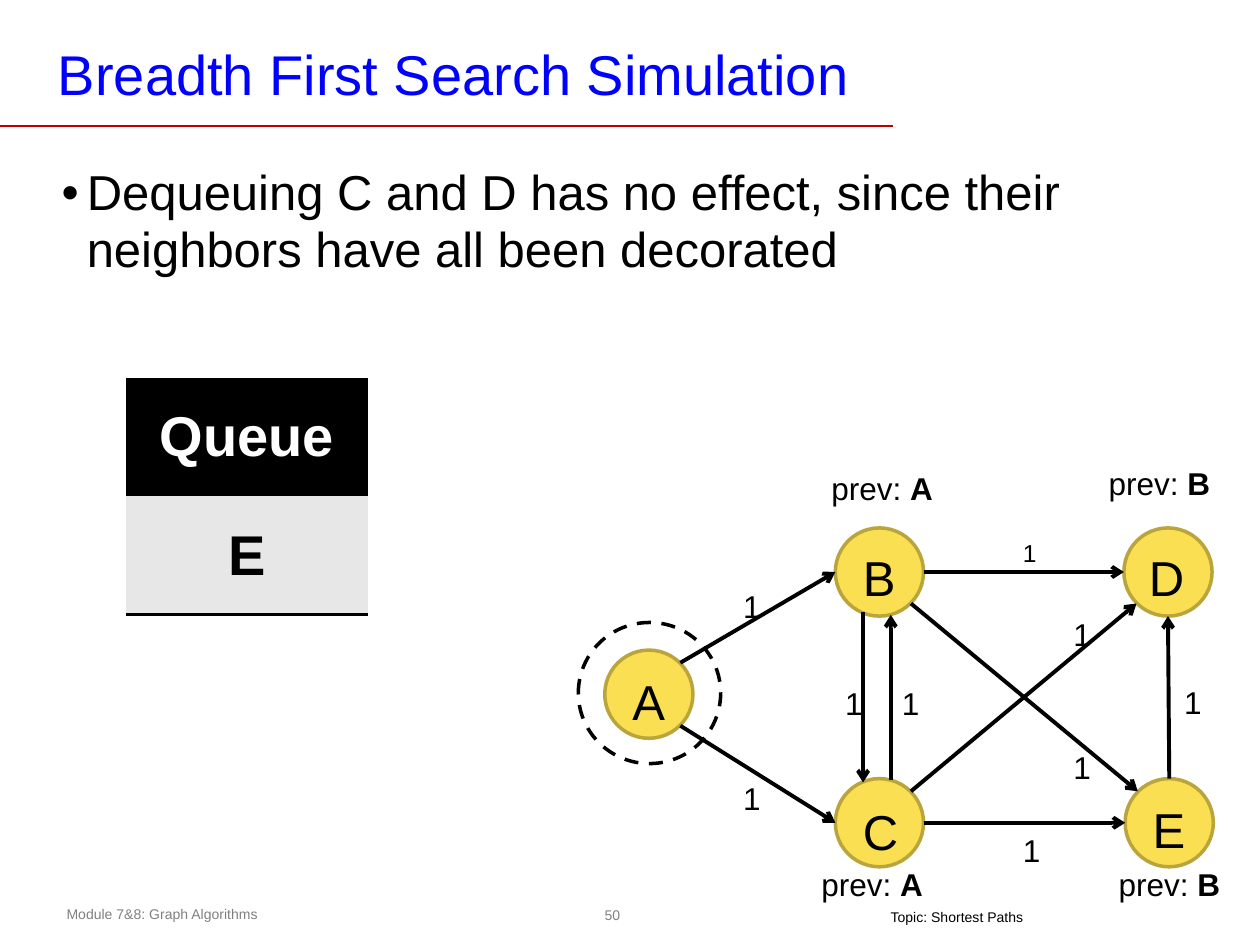
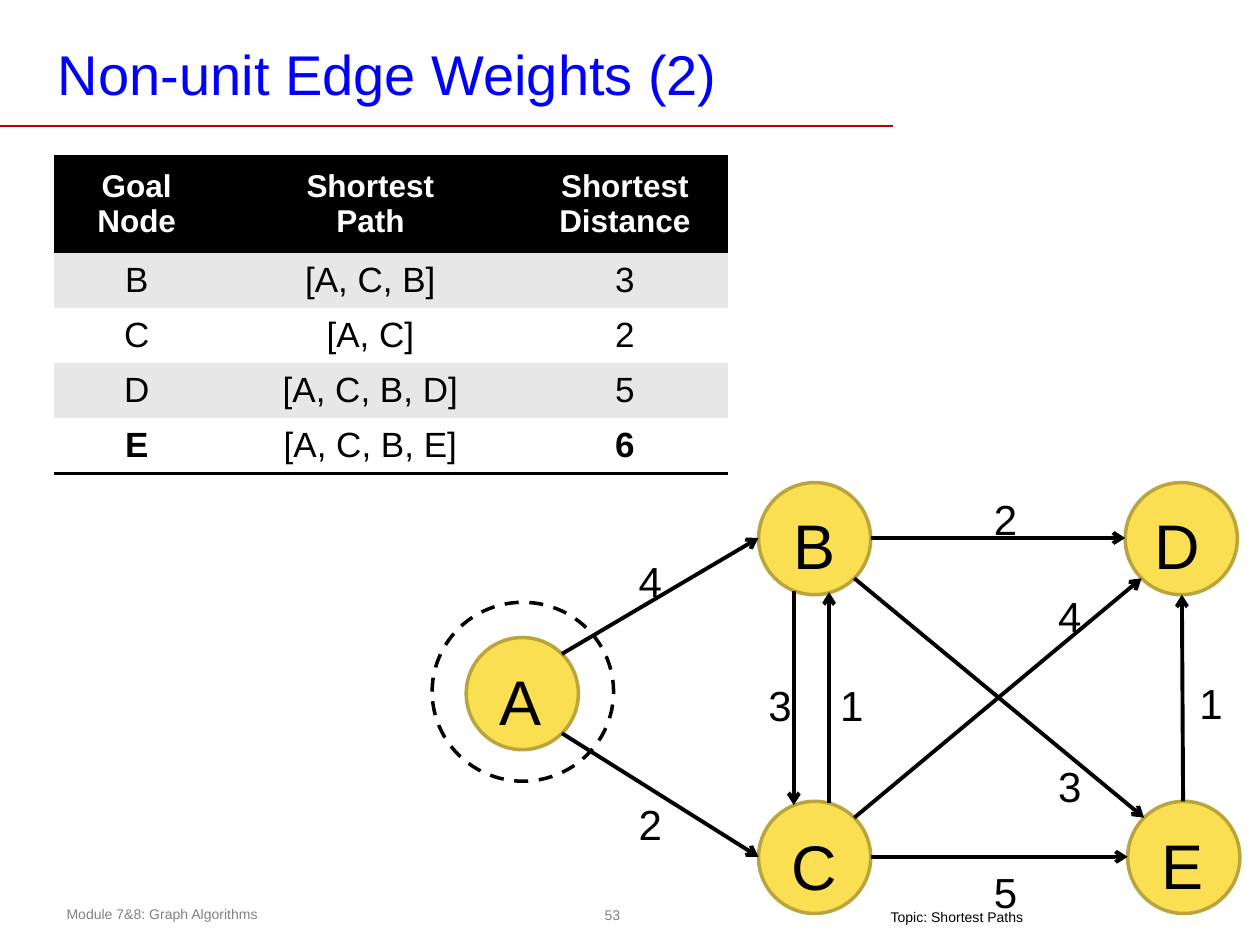
from math import cos, radians, sin
from lxml.etree import SubElement
from pptx import Presentation
from pptx.dml.color import RGBColor
from pptx.enum.dml import MSO_LINE
from pptx.enum.shapes import MSO_CONNECTOR, MSO_SHAPE
from pptx.enum.text import MSO_ANCHOR, PP_ALIGN
from pptx.oxml import parse_xml
from pptx.oxml.ns import nsdecls, qn
from pptx.util import Pt

PX = 9144
FONT = "Arial"
BLACK, WHITE, GRAY, BAND = "000000", "FFFFFF", "808080", "E7E7E7"
TITLE_BLUE, RULE_RED = "0000FF", "C00000"
NODE_FILL, NODE_LINE = "FBDF53", "BAA53D"
NO_TABLE_STYLE = "{2D5ABB26-0587-4C30-8999-92F81FD0307C}"

NODE_SIZE = 70
NODES = {
    "A": (0, 97, 12, 12),
    "B": (183, 0, 12, 11),
    "C": (183, 199, 12, 13),
    "D": (412, 0, 10, 11),
    "E": (413, 199, 12, 12),
}
EDGES = [
    ("A", 315, "B", 180, 100, 42),
    ("A", 45, "C", 180, 100, 194),
    ("B", 112, "C", 248, 181, 119),
    ("C", 285, "B", 75, 226, 119),
    ("B", 0, "D", 180, 322, 3),
    ("B", 45, "E", 225, 362, 170),
    ("E", 270, "D", 90, 450, 118),
    ("C", 0, "E", 180, 322, 236),
    ("C", 315, "D", 135, 362, 64),
]

PAGES = [
    {
        "title": "Breadth First Search Simulation",
        "number": "50",
        "bullet": "Dequeuing C and D has no effect, since their neighbors have all been decorated",
        "table_at": (100, 300),
        "columns": [192],
        "rows": [94, 94],
        "cells": [["Queue"], ["E"]],
        "cell_sizes": (32, 32),
        "bold_cells": ["E"],
        "origin": (480, 419),
        "zoom": 1,
        "letter_size": 28,
        "weights": "111111111",
        "weight_sizes": [18, 18, 18, 18, 14, 18, 18, 18, 18],
        "previous": [(650, 367, "A"), (642, 682, "A"), (870, 363, "B"), (878, 682, "B")],
    },
    {
        "title": "Non-unit Edge Weights (2)",
        "number": "53",
        "bullet": None,
        "table_at": (43, 123),
        "columns": [131, 240, 164],
        "rows": [78, 43, 43, 44, 44],
        "cells": [
            ["Goal Node", "Shortest\nPath", "Shortest Distance"],
            ["B", "[A, C, B]", "3"],
            ["C", "[A, C]", "2"],
            ["D", "[A, C, B, D]", "5"],
            ["E", "[A, C, B, E]", "6"],
        ],
        "cell_sizes": (18, 20),
        "bold_cells": ["E", "6"],
        "origin": (370, 383),
        "zoom": 1.27,
        "letter_size": 36,
        "weights": "423123154",
        "weight_sizes": [24] * 9,
        "previous": [],
    },
]


def place(*lengths):
    return [round(length) * PX for length in lengths]


def write(shapes, area, text, size, color=BLACK, align=PP_ALIGN.LEFT,
          anchor=MSO_ANCHOR.TOP, insets=(10, 5, 10, 5), wrap=True):
    frame = shapes.add_textbox(*place(*area)).text_frame
    frame.text = text
    frame.word_wrap = wrap
    frame.vertical_anchor = anchor
    (frame.margin_left, frame.margin_top,
     frame.margin_right, frame.margin_bottom) = place(*insets)
    para = frame.paragraphs[0]
    para.alignment = align
    font = para.runs[0].font
    font.name, font.size = FONT, Pt(size)
    font.color.rgb = RGBColor.from_string(color)
    return para


deck = Presentation()
deck.slide_width, deck.slide_height = place(1000, 750)

for content in PAGES:
    page = deck.slides.add_slide(deck.slide_layouts[6])
    shapes = page.shapes

    write(shapes, (474, 713, 24, 26), content["number"], 8, GRAY, PP_ALIGN.CENTER,
          MSO_ANCHOR.MIDDLE, (4, 4, 4, 4), False)
    write(shapes, (43, 714, 364, 24), "Module 7&8: Graph Algorithms", 8, GRAY)
    write(shapes, (697, 721, 127, 17), "Topic: Shortest Paths", 8,
          insets=(10, 0, 10, 4), wrap=False)
    rule = shapes.add_connector(MSO_CONNECTOR.STRAIGHT, *place(0, 100, 709, 100))
    rule.line.color.rgb = RGBColor.from_string(RULE_RED)
    rule.line.width = Pt(1)
    SubElement(rule._element.spPr, qn("a:effectLst"))
    write(shapes, (39, 28, 742, 60), content["title"], 32, TITLE_BLUE,
          anchor=MSO_ANCHOR.BOTTOM, insets=(7, 3, 7, 3))

    if content["bullet"]:
        para = write(shapes, (39, 126, 931, 548), content["bullet"], 28)
        para.line_spacing = 0.97
        properties = para._p.get_or_add_pPr()
        properties.set("marL", str(20 * PX))
        properties.set("indent", str(-20 * PX))
        SubElement(properties, qn("a:buFont")).set("typeface", FONT)
        SubElement(properties, qn("a:buChar")).set("char", "•")

    columns, rows = content["columns"], content["rows"]
    table = shapes.add_table(len(rows), len(columns), *place(
        *content["table_at"], sum(columns), sum(rows))).table
    table.horz_banding = False
    table._tbl.tblPr.find(qn("a:tableStyleId")).text = NO_TABLE_STYLE
    for index, width in enumerate(columns):
        table.columns[index].width = width * PX
    header_size, body_size = content["cell_sizes"]
    for row, height in enumerate(rows):
        table.rows[row].height = height * PX
        fill = BLACK if row == 0 else BAND if row % 2 else WHITE
        for column, text in enumerate(content["cells"][row]):
            cell = table.cell(row, column)
            cell.text_frame.text = text
            cell.vertical_anchor = MSO_ANCHOR.MIDDLE
            cell.fill.solid()
            cell.fill.fore_color.rgb = RGBColor.from_string(fill)
            for para in cell.text_frame.paragraphs:
                para.alignment = PP_ALIGN.CENTER
                font = para.runs[0].font
                font.name = FONT
                font.size = Pt(body_size if row else header_size)
                font.bold = row == 0 or (row == len(rows) - 1 and text in content["bold_cells"])
                font.color.rgb = RGBColor.from_string(BLACK if row else WHITE)
            if row == len(rows) - 1:
                cell._tc.get_or_add_tcPr().insert(0, parse_xml(
                    f'<a:lnB {nsdecls("a")} w="{Pt(2)}"><a:solidFill>'
                    f'<a:srgbClr val="{BLACK}"/></a:solidFill></a:lnB>'))

    graph = shapes.add_group_shape().shapes
    zoom = content["zoom"]
    left, top = content["origin"]
    size = NODE_SIZE * zoom
    centers = {}
    for name, (x, y, letter_x, letter_y) in NODES.items():
        node_left, node_top = left + x * zoom, top + y * zoom
        centers[name] = node_left + size / 2, node_top + size / 2
        node = graph.add_shape(MSO_SHAPE.OVAL, *place(node_left, node_top, size, size))
        node.shadow.inherit = False
        node.fill.solid()
        node.fill.fore_color.rgb = RGBColor.from_string(NODE_FILL)
        node.line.color.rgb = RGBColor.from_string(NODE_LINE)
        node.line.width = Pt(2)
        write(graph, (node_left + letter_x * zoom, node_top + letter_y * zoom,
                      45 * zoom, 57 * zoom),
              name, content["letter_size"], align=PP_ALIGN.CENTER)

    for edge, weight, weight_size in zip(EDGES, content["weights"], content["weight_sizes"]):
        start, start_angle, end, end_angle, label_x, label_y = edge
        points = []
        for name, angle in ((start, start_angle), (end, end_angle)):
            center_x, center_y = centers[name]
            points += [center_x + size / 2 * cos(radians(angle)),
                       center_y + size / 2 * sin(radians(angle))]
        arrow = graph.add_connector(MSO_CONNECTOR.STRAIGHT, *place(*points))
        arrow.line.color.rgb = RGBColor.from_string(BLACK)
        arrow.line.width = Pt(2.25)
        SubElement(arrow.line._get_or_add_ln(), qn("a:tailEnd")).set("type", "arrow")
        SubElement(arrow._element.spPr, qn("a:effectLst"))
        write(graph, (left + label_x * zoom, top + label_y * zoom, 21 * zoom, 40 * zoom),
              weight, weight_size)

    ring = graph.add_shape(MSO_SHAPE.OVAL, *place(
        left - 21 * zoom, top + 75 * zoom, 113 * zoom, 112 * zoom))
    ring.shadow.inherit = False
    ring.fill.background()
    ring.line.color.rgb = RGBColor.from_string(BLACK)
    ring.line.width = Pt(2)
    ring.line.dash_style = MSO_LINE.DASH

    for x, y, name in content["previous"]:
        para = write(shapes, (x, y, 108, 40), "prev: ", 18)
        span = para.add_run()
        span.text = name
        span.font.name, span.font.size, span.font.bold = FONT, Pt(18), True
        span.font.color.rgb = RGBColor.from_string(BLACK)

deck.save("out.pptx")
